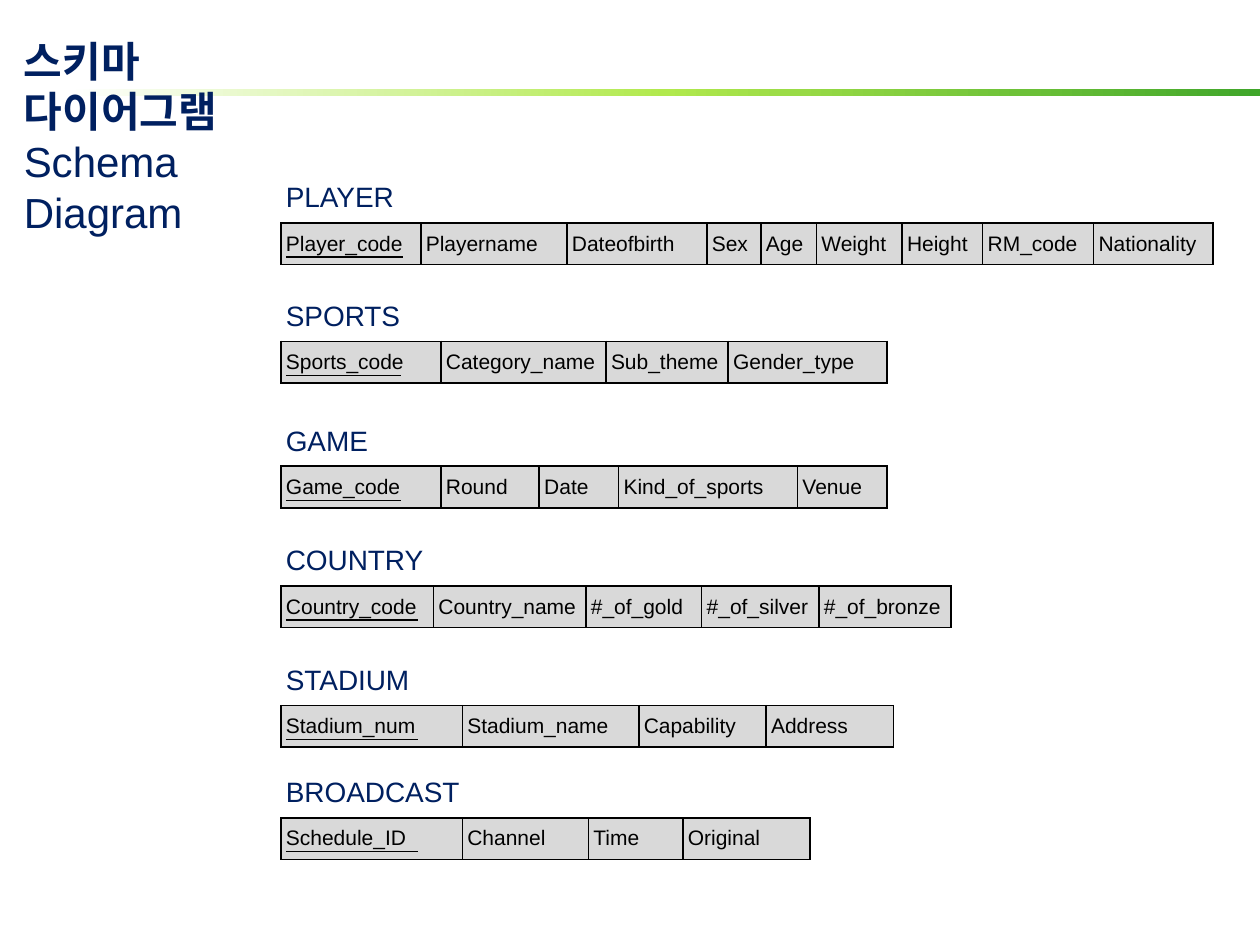
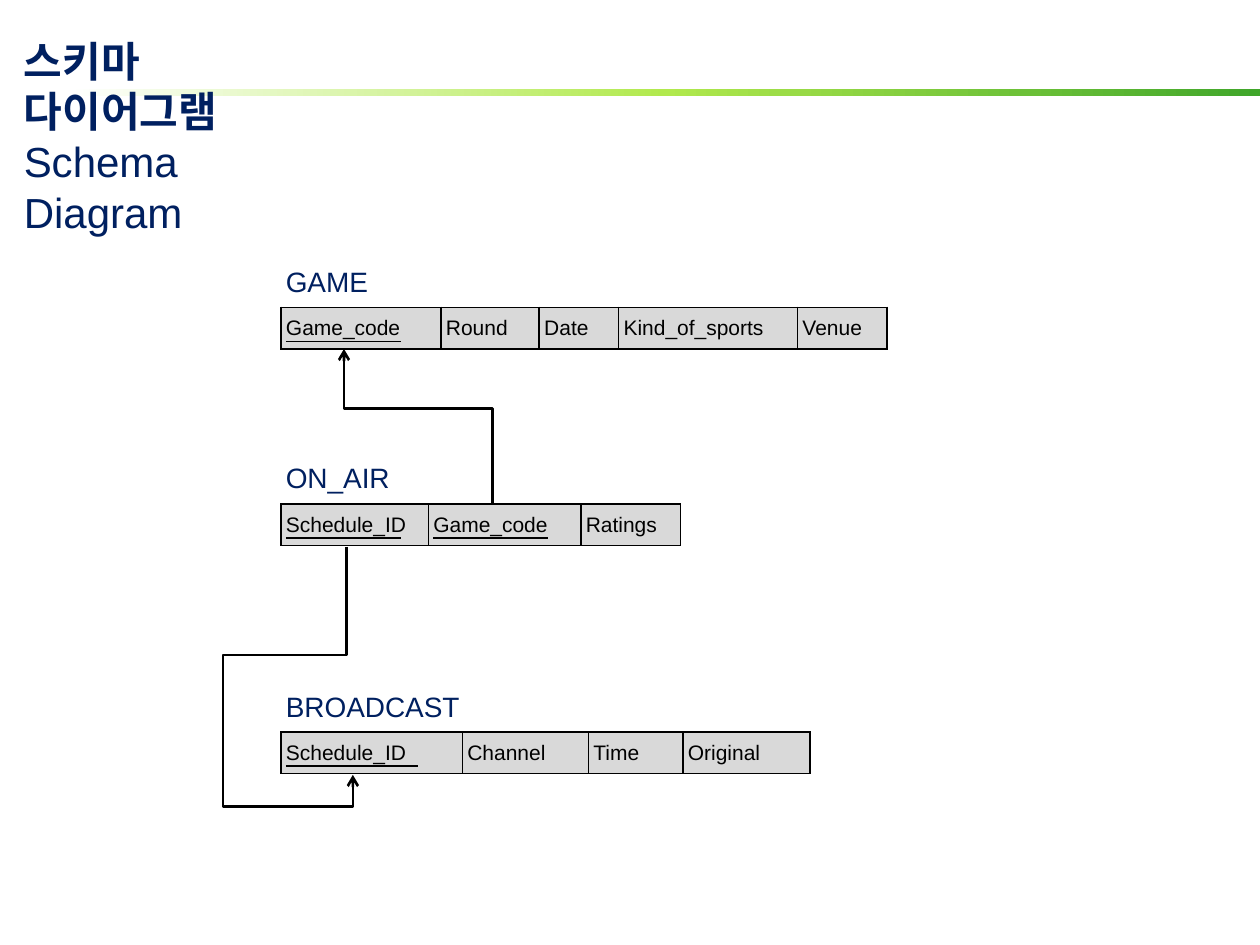
from lxml.etree import SubElement
from pptx import Presentation
from pptx.dml.color import RGBColor
from pptx.enum.lang import MSO_LANGUAGE_ID
from pptx.enum.shapes import MSO_CONNECTOR, MSO_SHAPE
from pptx.enum.text import MSO_ANCHOR
from pptx.oxml.ns import qn
from pptx.util import Inches, Pt

NAVY, BLACK, GREY = "002060", "000000", "D9D9D9"
BAND_COLOURS = ["FFFFFF", "B1E94D", "40A62A"]
LATIN, KOREAN = "Arial", "Noto Sans CJK KR"
RELATION_LEFT, ROW_HEIGHT = 2.23, 0.33

# Relation: label width, columns with widths, underline length of each leading key
RELATIONS = {
    "PLAYER": (1.07, {"Player_code": 1.11, "Playername": 1.16, "Dateofbirth": 1.11,
                      "Sex": 0.43, "Age": 0.44, "Weight": 0.68, "Height": 0.64,
                      "RM_code": 0.88, "Nationality": 0.95}, [0.93]),
    "SPORTS": (1.12, {"Sports_code": 1.27, "Category_name": 1.31, "Sub_theme": 0.97,
                      "Gender_type": 1.26}, [0.91]),
    "GAME": (0.86, {"Game_code": 1.27, "Round": 0.78, "Date": 0.63,
                    "Kind_of_sports": 1.42, "Venue": 0.71}, [0.91]),
    "COUNTRY": (1.3, {"Country_code": 1.21, "Country_name": 1.21, "#_of_gold": 0.92,
                      "#_of_silver": 0.93, "#_of_bronze": 1.05}, [1.05]),
    "STADIUM": (1.19, {"Stadium_num": 1.44, "Stadium_name": 1.4, "Capability": 1.01,
                       "Address": 1.01}, [1.05]),
    "BROADCAST": (1.59, {"Schedule_ID": 1.44, "Channel": 1, "Time": 0.75,
                         "Original": 1.01}, [1.05]),
    "ON_AIR": (1.04, {"Schedule_ID": 1.17, "Game_code": 1.21, "Ratings": 0.79},
               [0.91, 0.91]),
}


def colour(value):
    return RGBColor.from_string(value)


def style_font(font, size, value, name=LATIN, bold=False):
    font.size, font.bold, font.name = Pt(size), bold, name
    font.color.rgb = colour(value)


def add_text(slide, left, top, width, height, text, size, wrap=False):
    box = slide.shapes.add_textbox(Inches(left), Inches(top), Inches(width), Inches(height))
    text_frame = box.text_frame
    text_frame.text = text
    text_frame.word_wrap = wrap
    for paragraph in text_frame.paragraphs:
        style_font(paragraph.runs[0].font, size, NAVY)
    return text_frame


def add_line(slide, start, end, width, kind=MSO_CONNECTOR.STRAIGHT):
    line = slide.shapes.add_connector(kind, *(Inches(value) for value in (*start, *end)))
    line.line.color.rgb = colour(BLACK)
    line.line.width = Pt(width)
    SubElement(line._element.spPr, qn("a:effectLst"))
    return line


def add_elbow_arrow(slide, start, end, bends):
    """Leaves and arrives vertically; bends holds the turning y, x, y, ... in order."""
    delta = end[0] - start[0], end[1] - start[1]
    middle = (start[0] + end[0]) / 2, (start[1] + end[1]) / 2
    half_length, half_breadth = abs(delta[1]) / 2, abs(delta[0]) / 2
    arrow = add_line(slide, (middle[0] - half_length, middle[1] - half_breadth),
                     (middle[0] + half_length, middle[1] + half_breadth),
                     1.5, MSO_CONNECTOR.ELBOW)

    # Turn the connector so that its length runs vertically
    properties = arrow._element.spPr
    transform = properties.find(qn("a:xfrm"))
    transform.set("rot", str(270 * 60000))
    if delta[1] > 0:
        transform.set("flipH", "1")
    if delta[0] < 0:
        transform.set("flipV", "1")

    # Place the bends
    geometry = properties.find(qn("a:prstGeom"))
    geometry.set("prst", f"bentConnector{len(bends) + 2}")
    adjustments = geometry.find(qn("a:avLst"))
    for index, bend in enumerate(bends):
        axis = 1 - index % 2
        ratio = (bend - start[axis]) / delta[axis]
        SubElement(adjustments, qn("a:gd"), name=f"adj{index + 1}",
                   fmla=f"val {round(ratio * 100000)}")
    SubElement(properties.find(qn("a:ln")), qn("a:tailEnd"), type="arrow")


def style_cell(cell, text):
    cell_properties = cell._tc.get_or_add_tcPr()
    for side in ("lnL", "lnR", "lnT", "lnB"):
        border = SubElement(cell_properties, qn(f"a:{side}"), w=str(Pt(1)))
        fill = SubElement(border, qn("a:solidFill"))
        SubElement(fill, qn("a:srgbClr"), val=BLACK)
    cell.fill.solid()
    cell.fill.fore_color.rgb = colour(GREY)
    cell.margin_left = cell.margin_right = Inches(0.04)
    cell.margin_top = cell.margin_bottom = 0
    cell.vertical_anchor = MSO_ANCHOR.MIDDLE
    cell.text_frame.text = text
    style_font(cell.text_frame.paragraphs[0].runs[0].font, 12, BLACK)


def add_relation(slide, name, top):
    label_width, columns, key_lengths = RELATIONS[name]
    add_text(slide, RELATION_LEFT - 0.06, top - 0.39, label_width, 0.37, name, 16)

    # Attributes
    frame = slide.shapes.add_table(1, len(columns), Inches(RELATION_LEFT), Inches(top),
                                   Inches(sum(columns.values())), Inches(ROW_HEIGHT))
    table = frame.table
    table.first_row = table.horz_banding = False
    for index, (attribute, width) in enumerate(columns.items()):
        table.columns[index].width = Inches(width)
        style_cell(table.cell(0, index), attribute)

    # Key underlines
    left = RELATION_LEFT + 0.04
    for length, width in zip(key_lengths, columns.values()):
        add_line(slide, (left, top + 0.27), (left + length, top + 0.27), 0.75)
        left += width


def add_schema_slide(presentation, relation_tops):
    slide = presentation.slides.add_slide(presentation.slide_layouts[6])

    # Gradient band
    band = slide.shapes.add_shape(MSO_SHAPE.RECTANGLE, Inches(0.55), Inches(0.71),
                                  Inches(9.45), Inches(0.05))
    band.shadow.inherit = False
    band.line.fill.background()
    band.fill.gradient()
    band.fill.gradient_angle = 0
    stops = band.fill._fill._gradFill.find(qn("a:gsLst"))
    for stop in list(stops):
        stops.remove(stop)
    for index, value in enumerate(BAND_COLOURS):
        stop = SubElement(stops, qn("a:gs"), pos=str(index * 50000))
        SubElement(stop, qn("a:srgbClr"), val=value)

    # Title
    title = add_text(slide, 0.09, 0.23, 2.65, 1.31,
                     "스키마 다이어그램\nSchema\nDiagram", 24, wrap=True)
    font = title.paragraphs[0].runs[0].font
    style_font(font, 24, NAVY, KOREAN, bold=True)
    font.language_id = MSO_LANGUAGE_ID.KOREAN
    SubElement(font._element, qn("a:ea"), typeface=KOREAN)

    for name, top in relation_tops.items():
        add_relation(slide, name, top)
    return slide


def main():
    presentation = Presentation()
    presentation.slide_width, presentation.slide_height = Inches(10), Inches(7.5)

    add_schema_slide(presentation, {"PLAYER": 1.77, "SPORTS": 2.71, "GAME": 3.7,
                                    "COUNTRY": 4.65, "STADIUM": 5.6, "BROADCAST": 6.49})

    references = add_schema_slide(presentation, {"GAME": 2.44, "BROADCAST": 5.81,
                                                 "ON_AIR": 4})
    add_elbow_arrow(references, (2.75, 4.34), (2.8, 6.15), [5.2, 1.77, 6.4])
    add_elbow_arrow(references, (3.91, 3.99), (2.73, 2.77), [3.24])

    presentation.save("out.pptx")


if __name__ == "__main__":
    main()
